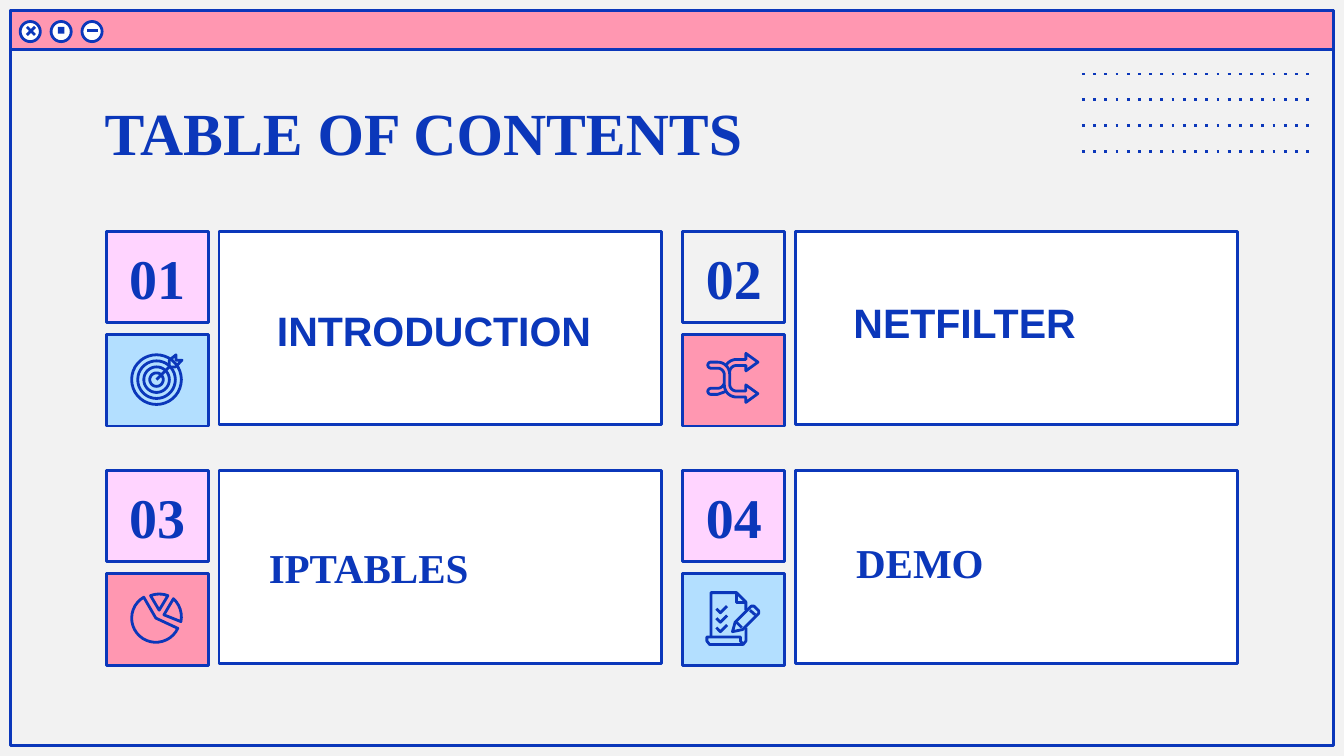
from dataclasses import dataclass
from math import cos, radians, sin

from lxml import etree
from pptx import Presentation, util as u
from pptx.dml.color import RGBColor
from pptx.enum import shapes, text
from pptx.oxml.ns import qn

BLUE = RGBColor(0x0B, 0x37, 0xBA)
PINK = RGBColor(0xFF, 0x97, 0xB1)
LILAC = RGBColor(0xFF, 0xD4, 0xFF)
SKY = RGBColor(0xB3, 0xDF, 0xFF)
WHITE = RGBColor(0xFF, 0xFF, 0xFF)
GREY = RGBColor(0xF2, 0xF2, 0xF2)
SERIF, SANS = "Times New Roman", "Arial"
RECTANGLE, OVAL = shapes.MSO_SHAPE.RECTANGLE, shapes.MSO_SHAPE.OVAL
MIDDLE, TOP = text.MSO_ANCHOR.MIDDLE, text.MSO_ANCHOR.TOP
LINE_WIDTH = u.Pt(1.5)
SLIDE_WIDTH = 10
SLIDE_HEIGHT = SLIDE_WIDTH * 9 / 16

# Grid of entries, in inches
LEFT, COLUMN_STEP = 0.79, 4.29
UPPER, ROW_STEP = 1.72, 1.78
TILE_WIDTH, TILE_HEIGHT, TILE_STEP = 0.76, 0.68, 0.77
CARD_OFFSET, CARD_WIDTH, CARD_HEIGHT = 0.84, 3.29, 1.44

Points = list[tuple[float, float]]


@dataclass
class Stroke:
    """Outline in hundredths of an inch from the middle of a tile."""
    points: Points
    closed: bool = False


@dataclass
class Entry:
    column: int
    row: int
    number: str
    label: str
    font: str
    label_box: tuple[float, float, float, float]
    inset: float
    number_fill: RGBColor | None
    icon_fill: RGBColor
    icon: list[Stroke]
    anchor: text.MSO_ANCHOR = MIDDLE


def arc(x: float, y: float, radius: float, start: float, end: float) -> Points:
    steps = max(6, round(abs(end - start) / 10))
    angles = [radians(start + (end - start) * i / steps) for i in range(steps + 1)]
    return [(x + radius * cos(a), y + radius * sin(a)) for a in angles]


TARGET = [Stroke(arc(-0.5, -0.5, radius, 0, 360), True) for radius in (18.5, 14, 9.5, 5)] + [
    Stroke([(-0.5, -0.5), (9, -10)]),
    Stroke([(9, -15), (14, -19), (14, -15), (18.5, -15), (13.5, -10), (9, -10)], True),
]
SHUFFLE = [
    Stroke([(-17, -13.5), *arc(-12, -4.5, 9, -90, 0), *arc(2, 3, 5, 180, 90),
            (9, 8), (9, 3.5), (18, 10), (9, 16.5), (9, 12.5),
            *arc(2, 3.5, 9, 90, 180), *arc(-12, -4, 5, 0, -90),
            *arc(-17, -11.25, 2.25, 90, 270)], True),
    Stroke([*arc(-12, 1, 5, 20, 90), *arc(-17, 8.25, 2.25, 270, 90),
            (-12, 10.5), (-5, 8)]),
    Stroke([*arc(2, -6.5, 9, 215, 270), (9, -15.5), (9, -20), (18, -13.5),
            (9, -7), (9, -11), *arc(2, -6, 5, 270, 180)]),
]
PIE = [
    Stroke([(-1, -1), *arc(-1, -1, 18, 25, 240)], True),
    Stroke([(5, -3.5), *arc(-0.5, -2, 18.5, -47, 11)], True),
    Stroke([(1.5, -7), *arc(1.5, -1, 18, -111, -69)], True),
]
CHECKLIST = [
    Stroke([(-17, 13), (-17, -20), (2, -20), (9, -13), (9, -7)]),
    Stroke([(2, -20), (2, -12.5), (9, -12.5)]),
    Stroke([(-20, 13), (5, 13), (5, 16), (7, 18.5), (-18, 18.5), (-20, 16)], True),
    Stroke([(9, 6), (9, 16), (7, 18.5)]),
    Stroke([(-1, 9), (1, 2), (13, -10), (15, -10), (18.5, -6.5),
            (18.5, -4.5), (6.5, 7.5)], True),
    Stroke([(12, -7), (16, -3.5)]),
    Stroke([(2, 2), (6, 6)]),
] + [Stroke([(-13, y + 3), (-10, y + 6), (-5, y + 1)]) for y in (-11, -4, 3)]

ENTRIES = [
    Entry(0, 0, "01", "INTRODUCTION", SANS, (1.82, 2, 2.91, 0.91), 0.24, LILAC, SKY, TARGET),
    Entry(1, 0, "02", "NETFILTER", SANS, (6.11, 2.21, 2.91, 0.71), 0.24, None, PINK, SHUFFLE, TOP),
    Entry(0, 1, "03", "IPTABLES", SERIF, (1.82, 3.79, 2.91, 0.86), 0.18, LILAC, PINK, PIE),
    Entry(1, 1, "04", "DEMO", SERIF, (6.12, 3.79, 2.91, 0.78), 0.25, LILAC, SKY, CHECKLIST),
]


def style(shape, fill: RGBColor | None, outlined: bool = True) -> None:
    shape.shadow.inherit = False
    if fill is None:
        shape.fill.background()
    else:
        shape.fill.solid()
        shape.fill.fore_color.rgb = fill
    if outlined:
        shape.line.color.rgb = BLUE
        shape.line.width = LINE_WIDTH
    else:
        shape.line.fill.background()


def add_box(slide, left: float, top: float, width: float, height: float,
            fill: RGBColor | None, kind=RECTANGLE, outlined: bool = True) -> None:
    shape = slide.shapes.add_shape(kind, *map(u.Inches, (left, top, width, height)))
    style(shape, fill, outlined)


def add_line(slide, x1: float, y1: float, x2: float, y2: float, dotted: bool = False) -> None:
    connector = slide.shapes.add_connector(
        shapes.MSO_CONNECTOR.STRAIGHT, *map(u.Inches, (x1, y1, x2, y2)))
    connector.line.color.rgb = BLUE
    connector.line.width = LINE_WIDTH
    properties = connector._element.spPr
    if dotted:
        etree.SubElement(properties.find(qn("a:ln")), qn("a:prstDash"), val="dot")
    etree.SubElement(properties, qn("a:effectLst"))


def add_text(slide, words: str, box: tuple[float, float, float, float], *, size: float,
             font: str = SERIF, align=text.PP_ALIGN.LEFT, anchor=MIDDLE,
             inset_left: float = 0.1, inset_top: float = 0.1) -> None:
    frame = slide.shapes.add_textbox(*map(u.Inches, box)).text_frame
    frame.word_wrap = True
    frame.vertical_anchor = anchor
    frame.margin_left, frame.margin_top = u.Inches(inset_left), u.Inches(inset_top)
    frame.margin_right = frame.margin_bottom = u.Inches(0.1)
    paragraph = frame.paragraphs[0]
    paragraph.alignment = align
    run = paragraph.add_run()
    run.text = words
    run.font.name, run.font.size, run.font.bold = font, u.Pt(size), True
    run.font.color.rgb = BLUE


def add_icon(slide, strokes: list[Stroke], x: float, y: float) -> None:
    for stroke in strokes:
        points = [(u.Inches(x + dx / 100), u.Inches(y + dy / 100)) for dx, dy in stroke.points]
        builder = slide.shapes.build_freeform(*points[0])
        builder.add_line_segments(points[1:], close=stroke.closed)
        style(builder.convert_to_shape(), None)


def add_window(slide) -> None:
    margin = 0.08
    width = SLIDE_WIDTH - 2 * margin
    add_box(slide, margin, margin, width, SLIDE_HEIGHT - 2 * margin, None)
    add_box(slide, margin, margin, width, 0.29, PINK)
    # Close, restore and minimise buttons
    close, restore, minimise = (0.23 + 0.23 * i for i in range(3))
    middle, arm = 0.23, 0.03
    for x in (close, restore, minimise):
        add_box(slide, x - 0.08, middle - 0.07, 0.15, 0.15, WHITE, OVAL)
    for rise in (arm, -arm):
        add_line(slide, close - arm, middle + rise, close + arm, middle - rise)
    add_box(slide, restore - 0.03, middle - 0.03, 0.05, 0.05, BLUE, outlined=False)
    add_line(slide, minimise - 0.04, middle, minimise + 0.04, middle)
    # Dotted rows in the corner
    for row in range(4):
        y = 0.55 + row * 0.58 / 3
        add_line(slide, 8.05, y, 9.76, y, dotted=True)


def add_entry(slide, entry: Entry) -> None:
    x = LEFT + entry.column * COLUMN_STEP
    y = UPPER + entry.row * ROW_STEP
    icon_top = y + TILE_STEP
    add_box(slide, x, y, TILE_WIDTH, TILE_HEIGHT, entry.number_fill)
    add_box(slide, x, icon_top, TILE_WIDTH, TILE_HEIGHT, entry.icon_fill)
    add_box(slide, x + CARD_OFFSET, y, CARD_WIDTH, CARD_HEIGHT, WHITE)
    add_text(slide, entry.number, (x, y + 0.05, TILE_WIDTH, 0.58), size=30,
             align=text.PP_ALIGN.CENTER)
    add_text(slide, entry.label, entry.label_box, size=22, font=entry.font,
             anchor=entry.anchor, inset_left=entry.inset,
             inset_top=0 if entry.anchor == TOP else 0.1)
    add_icon(slide, entry.icon, x + TILE_WIDTH / 2, icon_top + TILE_HEIGHT / 2)


def main() -> None:
    presentation = Presentation()
    presentation.slide_width = u.Inches(SLIDE_WIDTH)
    presentation.slide_height = u.Inches(SLIDE_HEIGHT)
    slide = presentation.slides.add_slide(presentation.slide_layouts[6])
    slide.background.fill.solid()
    slide.background.fill.fore_color.rgb = GREY
    add_window(slide)
    add_text(slide, "TABLE OF CONTENTS", (0.68, 0.61, 6.84, 0.65), size=32, anchor=TOP)
    for entry in ENTRIES:
        add_entry(slide, entry)
    presentation.save("out.pptx")


if __name__ == "__main__":
    main()
